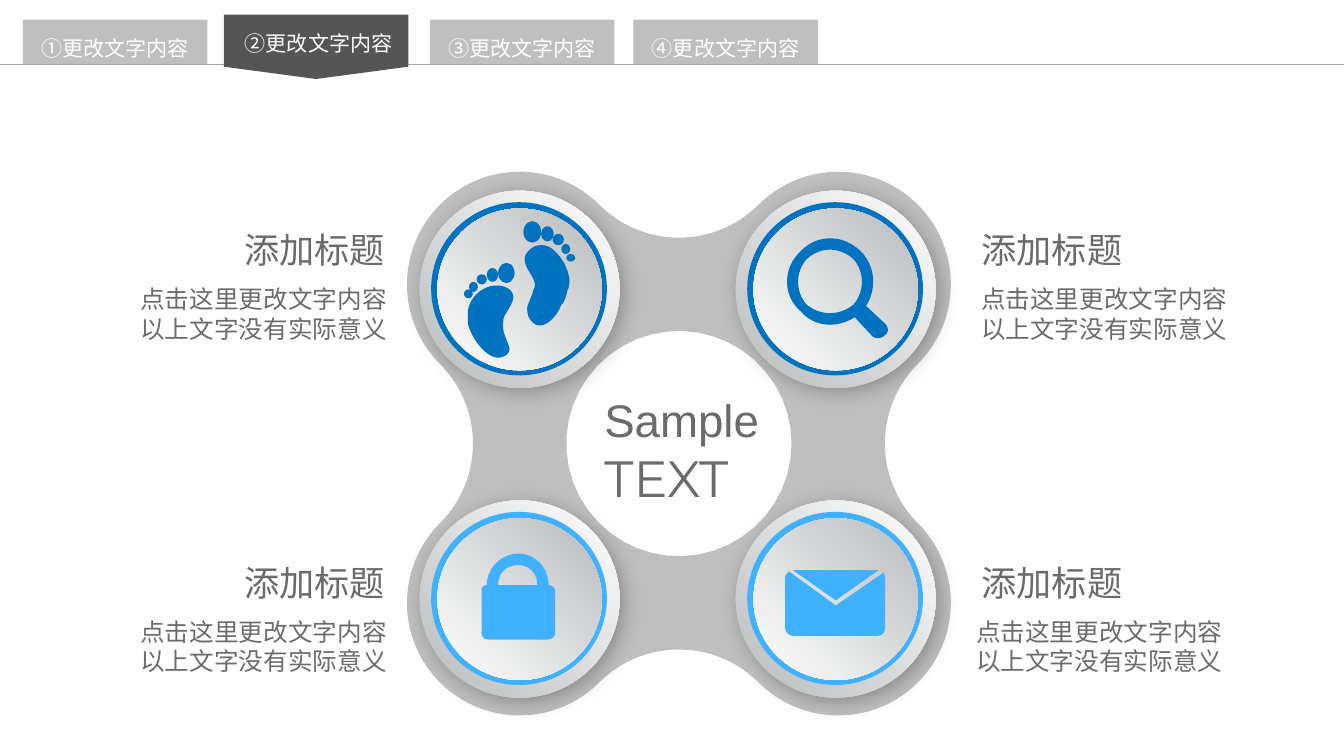
from math import cos, radians, sin, sqrt

from lxml import etree
from pptx import Presentation
from pptx.dml.color import RGBColor
from pptx.enum.shapes import MSO_CONNECTOR as Link, MSO_SHAPE as Kind
from pptx.enum.text import MSO_ANCHOR as Anchor, PP_ALIGN as Align
from pptx.oxml import parse_xml
from pptx.oxml.ns import qn
from pptx.util import Inches, Pt

NS = 'xmlns:a="http://schemas.openxmlformats.org/drawingml/2006/main"'
CJK = "Noto Sans CJK SC"
GREY, DARK, INK, WHITE = "BFBFBF", "555555", "6B6B6B", "FFFFFF"
SILVER, BLUE, SKY = "B8BBBC", "0072BF", "3FB1FF"

SOLES = [
    [(1.17, .78), (1.18, .77, 1.18, .75, 1.18, .75), (1.18, .75, 1.19, .7, 1.18, .68),
     (1.17, .59, 1.07, .43, .97, .43), (.91, .42, .83, .48, .83, .54),
     (.83, .62, .91, .68, .91, .74), (.91, .75, .91, .77, .9, .78),
     (.89, .83, .85, .9, .85, .93), (.85, .99, .87, 1.03, .92, 1.06),
     (.95, 1.07, .98, 1.06, .98, 1.06), (1.04, 1.04, 1.1, .96, 1.12, .9),
     (1.14, .89, 1.16, .83, 1.17, .78)],
    [(.74, .84), (.74, .78, .67, .75, .62, .75), (.5, .74, .38, .85, .38, .97),
     (.38, 1.04), (.39, 1.13, .51, 1.32, .62, 1.32), (.65, 1.32, .71, 1.3, .71, 1.25),
     (.71, 1.22, .65, 1.12, .66, 1.06), (.66, 1.03, .66, 1.01, .67, .99),
     (.7, .94, .74, .88, .74, .84)],
]
TOES = [(.82, .24, .14, .17), (.96, .28, .1, .12), (1.05, .34, .09, .09),
        (1.12, .42, .07, .08), (1.16, .5, .07, .06), (.62, .57, .13, .16),
        (.53, .61, .09, .11), (.45, .66, .08, .08), (.39, .72, .07, .08),
        (.35, .78, .07, .07)]
LENS = [
    [(.99, .48), (.85, .34, .64, .34, .51, .48), (.37, .61, .37, .83, .51, .95),
     (.62, 1.08, .8, 1.09, .94, 1), (1.08, 1.15), (1.1, 1.17, 1.14, 1.17, 1.17, 1.15),
     (1.18, 1.14), (1.21, 1.12, 1.21, 1.08, 1.18, 1.05), (1.03, .91),
     (1.12, .77, 1.1, .59, .99, .48)],
    [(.93, .9), (.82, .99, .67, .99, .56, .9), (.47, .8, .47, .64, .56, .54),
     (.67, .44, .82, .44, .93, .54), (1.02, .64, 1.02, .8, .93, .9)],
]
LOCK = [
    [(1.02, .67), (1.02, .53, .91, .42, .78, .42), (.65, .42, .53, .53, .53, .67),
     (.5, .67, .49, .69, .49, .71), (.49, 1.05), (.49, 1.08, .51, 1.1, .55, 1.1),
     (1.01, 1.1), (1.04, 1.1, 1.07, 1.08, 1.07, 1.05), (1.07, .71),
     (1.07, .69, 1.04, .67, 1.02, .67)],
    [(.78, .51), (.86, .51, .93, .57, .93, .67), (.62, .67),
     (.62, .57, .69, .51, .78, .51)],
]
MAIL = [
    [(1.13, .55), (.45, .55), (.79, .79)],
    [(1.17, .57), (.79, .83), (.42, .56), (.4, .58, .39, .6, .39, .61), (.39, 1),
     (.39, 1.04, .42, 1.07, .45, 1.07), (1.12, 1.07), (1.16, 1.07, 1.18, 1.04, 1.18, 1),
     (1.18, .61), (1.18, .6, 1.17, .58, 1.17, .57)],
]


def tint(code):
    """Turn a hex string into a colour."""
    return RGBColor.from_string(code)


def paint(shape, code):
    """Give a shape a flat fill without line or shadow."""
    shape.shadow.inherit = False
    shape.fill.solid()
    shape.fill.fore_color.rgb = tint(code)
    shape.line.fill.background()
    return shape


def form(slide, kind, box, code):
    """Add a flat preset shape."""
    return paint(slide.shapes.add_shape(kind, *map(Inches, box)), code)


def write(slide, box, rows, align=Align.LEFT, wrap=True, pad=(.08, .04), lead=None):
    """Add a text box from rows of text, size, font and colour."""
    frame = slide.shapes.add_textbox(*map(Inches, box)).text_frame
    frame.word_wrap = wrap
    frame.vertical_anchor = Anchor.TOP
    frame.margin_left = frame.margin_right = Inches(pad[0])
    frame.margin_top = frame.margin_bottom = Inches(pad[1])
    for i, (text, size, face, code) in enumerate(rows):
        para = frame.add_paragraph() if i else frame.paragraphs[0]
        para.alignment = align
        if lead:
            para.line_spacing = lead
        run = para.add_run()
        run.text = text
        run.font.size = Pt(size)
        run.font.name = face
        run.font.color.rgb = tint(code)
        etree.SubElement(run.font._element, qn("a:ea")).set("typeface", face)


def bend(path, steps=12):
    """Flatten a path of points and Bezier curves."""
    dots = [path[0]]
    for part in path[1:]:
        if len(part) == 2:
            dots.append(part)
            continue
        knots = [dots[-1], part[:2], part[2:4], part[4:]]
        for n in range(1, steps + 1):
            t = n / steps
            mix = ((1 - t) ** 3, 3 * t * (1 - t) ** 2, 3 * t * t * (1 - t), t ** 3)
            dots.append(tuple(sum(m * k[a] for m, k in zip(mix, knots)) for a in (0, 1)))
    return dots


def trace(slide, loops, left, top, code):
    """Draw closed loops as one outline, offset by left and top."""
    pen = None
    for loop in loops:
        dots = [(Inches(left + x), Inches(top + y)) for x, y in loop]
        if pen is None:
            pen = slide.shapes.build_freeform(*dots[0])
        else:
            pen.move_to(*dots[0])
        pen.add_line_segments(dots[1:], close=True)
    paint(pen.convert_to_shape(), code)


def arc(x, y, rad, start, end):
    """List points along an arc, in degrees."""
    turns = [radians(start + (end - start) * n / 45) for n in range(46)]
    return [(x + rad * cos(t), y + rad * sin(t)) for t in turns]


def hub(slide, x, y, pitch):
    """Draw the four-lobed base around its centre, with the sample text."""
    rad, far, edge = pitch / sqrt(2), pitch * sqrt(2), []
    for turn in range(0, 360, 90):
        lobe, notch = radians(225 + turn), radians(270 + turn)
        edge += arc(far * cos(lobe), far * sin(lobe), rad, 135 + turn, 315 + turn)
        edge += arc(2 * pitch * cos(notch), 2 * pitch * sin(notch), rad, 135 + turn, 45 + turn)
    trace(slide, [edge, arc(0, 0, rad, 360, 0)], x, y, GREY)
    write(slide, (x - .67, y - .45, 1.4, 1.01),
          [("Sample", 26, "Arial", INK), ("TEXT", 29, "Montserrat", INK)], wrap=False)


def shade(shape, first, last):
    """Fill a shape with a gradient rising to the right."""
    shape.fill.gradient()
    shape.fill.gradient_angle = 45
    for stop, code, at in zip(shape.fill.gradient_stops, (first, last), (0, 1)):
        stop.color.rgb = tint(code)
        stop.position = at


def badge(slide, left, top, code, icon, toes=()):
    """Draw a round button with its ring and icon."""
    rim = form(slide, Kind.OVAL, (left, top, 1.58, 1.56), SILVER)
    shade(rim, SILVER, WHITE)
    glow = rim._element.spPr.find(qn("a:effectLst"))
    glow.append(parse_xml(
        f'<a:outerShdw {NS} blurRad="{Pt(12)}" dist="{Pt(3)}" dir="2700000" algn="tl" '
        'rotWithShape="0"><a:srgbClr val="000000"><a:alpha val="28000"/></a:srgbClr>'
        '</a:outerShdw>'))
    form(slide, Kind.OVAL, (left + .09, top + .09, 1.39, 1.37), code)
    shade(form(slide, Kind.OVAL, (left + .14, top + .14, 1.3, 1.28), WHITE), WHITE, SILVER)
    trace(slide, [bend(path) for path in icon], left, top, code)
    for x, y, wide, high in toes:
        form(slide, Kind.OVAL, (left + x, top + y, wide, high), code)


def note(slide, head, body, top, align):
    """Write a heading and its two lines."""
    write(slide, (head, top, 1.28, .42), [("添加标题", 20, CJK, INK)], Align.CENTER, False)
    write(slide, (body, top + .44, 3.81, .55),
          [(text, 14, CJK, INK) for text in ("点击这里更改文字内容", "以上文字没有实际意义")], align)


def tabs(slide, mid, step, active):
    """Draw the row of tabs on its rule."""
    rule = slide.shapes.add_connector(Link.STRAIGHT, 0, Inches(.51), Inches(10.63), Inches(.51))
    rule.line.color.rgb = tint("A6A6A6")
    rule.line.width = Pt(.75)
    etree.SubElement(rule._element.spPr, qn("a:effectLst"))
    for i, mark in enumerate("①②③④"):
        x, on = mid + i * step, i == active
        deep, y, slip = (.51, .37, .02) if on else (.35, .33, 0)
        tab = form(slide, Kind.PENTAGON, (x - slip - deep / 2, y - .73, deep, 1.46),
                   DARK if on else GREY)
        tab.adjustments[0] = .19 if on else 0
        tab.rotation = 90
        write(slide, (x - 1.13, .2 if on else .24, 2.26, .27),
              [(mark + "更改文字内容", 12, CJK, WHITE)], Align.CENTER, pad=(0, 0), lead=1.2)


def main():
    """Build and save the slide."""
    deck = Presentation()
    deck.slide_width, deck.slide_height = Inches(10.63), Inches(5.91)
    slide = deck.slides.add_slide(deck.slide_layouts[6])
    hub(slide, 5.37, 3.51, 1.26)
    badge(slide, 3.32, 1.51, BLUE, SOLES, TOES)
    badge(slide, 5.82, 3.96, SKY, MAIL)
    badge(slide, 5.82, 1.51, BLUE, LENS)
    badge(slide, 3.32, 3.96, SKY, LOCK)
    for top, body in ((1.77, 7.68), (4.4, 7.64)):
        note(slide, 1.85, -.67, top, Align.RIGHT)
        note(slide, 7.68, body, top, Align.LEFT)
    tabs(slide, .91, 1.61, 1)
    deck.save("out.pptx")


if __name__ == "__main__":
    main()
